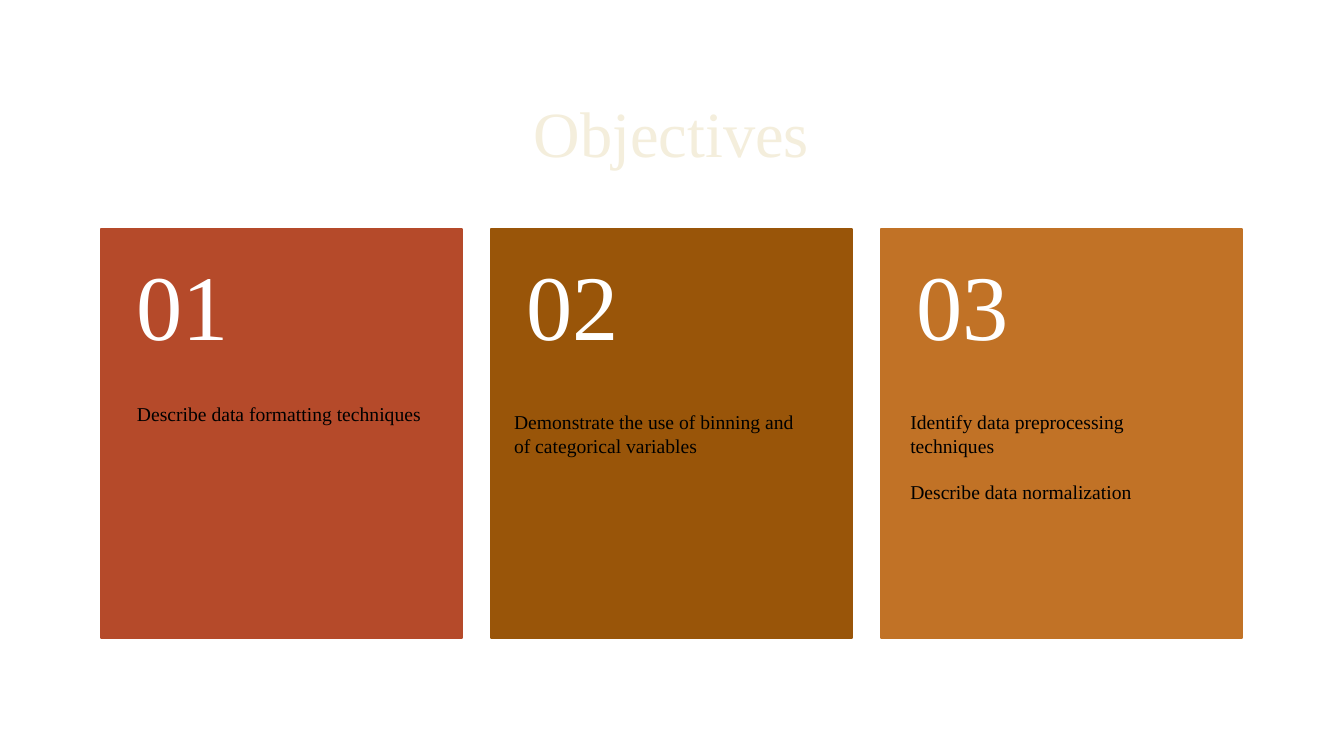
from lxml.etree import SubElement
from pptx import Presentation
from pptx.dml.color import RGBColor
from pptx.enum.shapes import MSO_SHAPE as SHAPE
from pptx.enum.text import MSO_ANCHOR as ANCHOR, MSO_AUTO_SIZE as AUTO, PP_ALIGN as ALIGN
from pptx.oxml.ns import qn
from pptx.util import Inches, Pt

FONT = "Times New Roman"
COLORS = {
    "title": "F4EEDC",
    "number": "FFFFFF",
    "body": "000000",
    "shadow": "000000",
    "red": "B54A2A",
    "brown": "995509",
    "orange": "C17226",
}
CARD_LEFT, CARD_TOP, CARD_STEP = 1, 2.27, 3.87
CARD_W, CARD_H, NUMBER_H = 3.58, 4.06, 1.62
OBJECTIVES = [
    ("red", 1.26, 3.89, 0.67, ["Describe data formatting techniques"]),
    ("brown", 5, 3.97, 0.67,
     ["Demonstrate the use of binning and of categorical variables"]),
    ("orange", 8.93, 3.97, 1.14,
     ["Identify data preprocessing techniques", "Describe data normalization"]),
]


def rgb(name):
    return RGBColor.from_string(COLORS[name])


def add_text(s, box, lines, size, color, inset, anchor=ANCHOR.TOP,
             align=ALIGN.LEFT, spacing=1.0, gap=0):
    tf = s.shapes.add_textbox(*map(Inches, box)).text_frame
    tf.word_wrap = True
    tf.vertical_anchor = anchor
    tf.margin_left = tf.margin_right = Inches(inset[0])
    tf.margin_top = tf.margin_bottom = Inches(inset[1])
    for i, line in enumerate(lines):
        p = tf.add_paragraph() if i else tf.paragraphs[0]
        p.alignment = align
        p.line_spacing = spacing
        p.space_before = Pt(gap if i else 0)
        r = p.add_run()
        r.text = line
        r.font.size = Pt(size)
        r.font.color.rgb = rgb(color)
        r.font.name = FONT
    return tf


def add_text_shadow(r):
    rPr = r.font._element if hasattr(r.font, "_element") else r._r.get_or_add_rPr()
    effects = SubElement(rPr, qn("a:effectLst"))
    rPr.find(qn("a:solidFill")).addnext(effects)
    shadow = SubElement(effects, qn("a:outerShdw"), blurRad="38100",
                        dist="38100", dir="2700000", algn="tl")
    color = SubElement(shadow, qn("a:srgbClr"), val=COLORS["shadow"])
    SubElement(color, qn("a:alpha"), val="43000")


def add_title(s, text):
    tf = add_text(s, (1, 0.67, 11.32, 1.38), [text], 46, "title", (0.1, 0.05),
                  ANCHOR.MIDDLE, ALIGN.CENTER, 0.9)
    add_text_shadow(tf.paragraphs[0].runs[0])


def add_card(s, index, color):
    left = CARD_LEFT + index * CARD_STEP
    card = s.shapes.add_shape(
        SHAPE.RECTANGLE, *map(Inches, (left, CARD_TOP, CARD_W, CARD_H)))
    card.shadow.inherit = False
    card.fill.solid()
    card.fill.fore_color.rgb = rgb(color)
    card.line.color.rgb = rgb(color)
    card.line.width = Pt(1.25)
    add_text(s, (left, CARD_TOP, CARD_W, NUMBER_H), [f"{index + 1:02d}"], 66,
             "number", (0.35, 0.18), ANCHOR.MIDDLE, spacing=0.9)


def add_objective(s, left, top, height, lines):
    tf = add_text(s, (left, top, 3.13, height), lines, 14, "body", (0.1, 0.1), gap=16)
    tf.auto_size = AUTO.SHAPE_TO_FIT_TEXT


def main():
    prs = Presentation()
    prs.slide_width, prs.slide_height = Inches(13.33), Inches(7.5)
    s = prs.slides.add_slide(prs.slide_layouts[6])
    add_title(s, "Objectives")
    for i, (color, left, top, height, lines) in enumerate(OBJECTIVES):
        add_card(s, i, color)
        add_objective(s, left, top, height, lines)
    prs.save("out.pptx")


if __name__ == "__main__":
    main()
